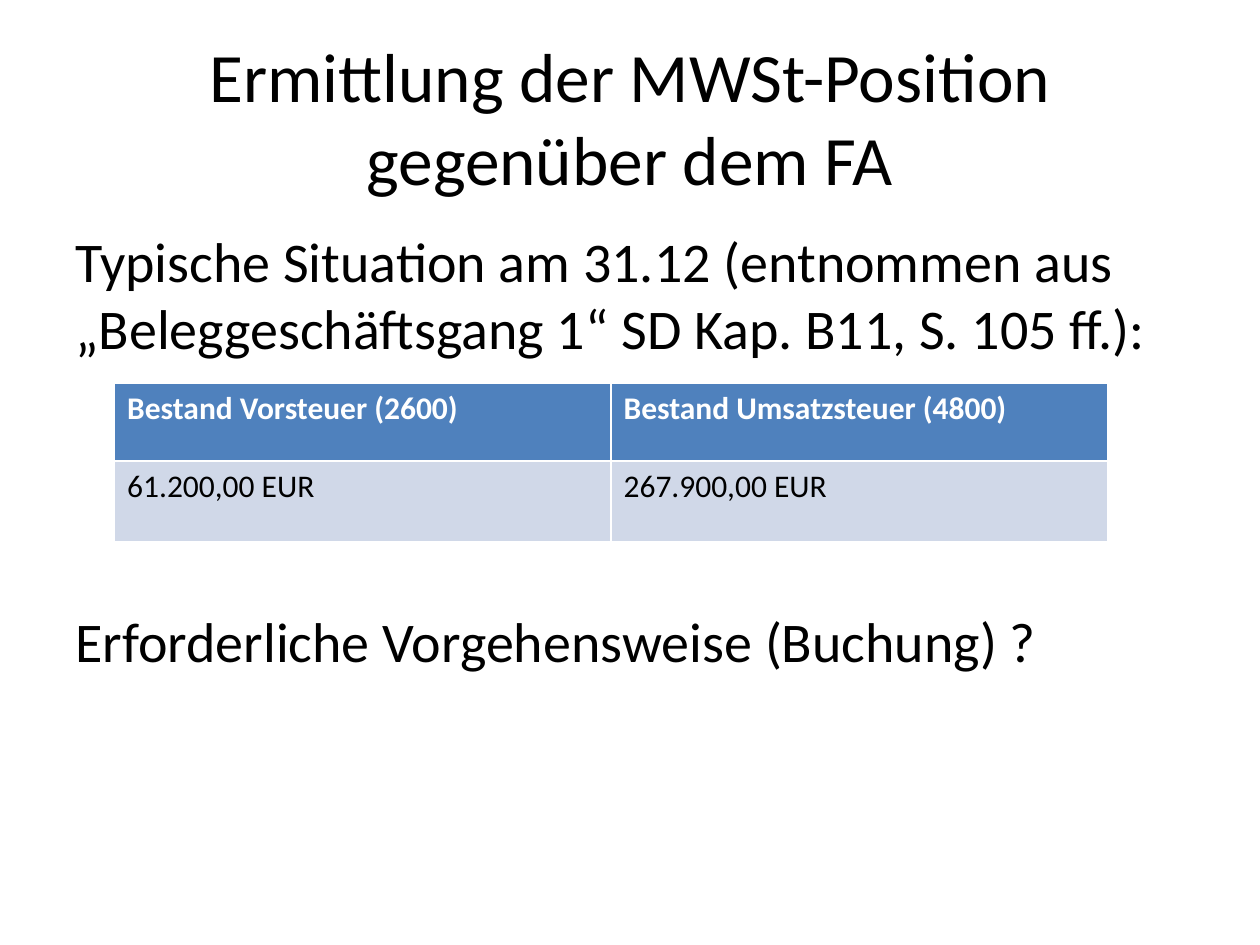
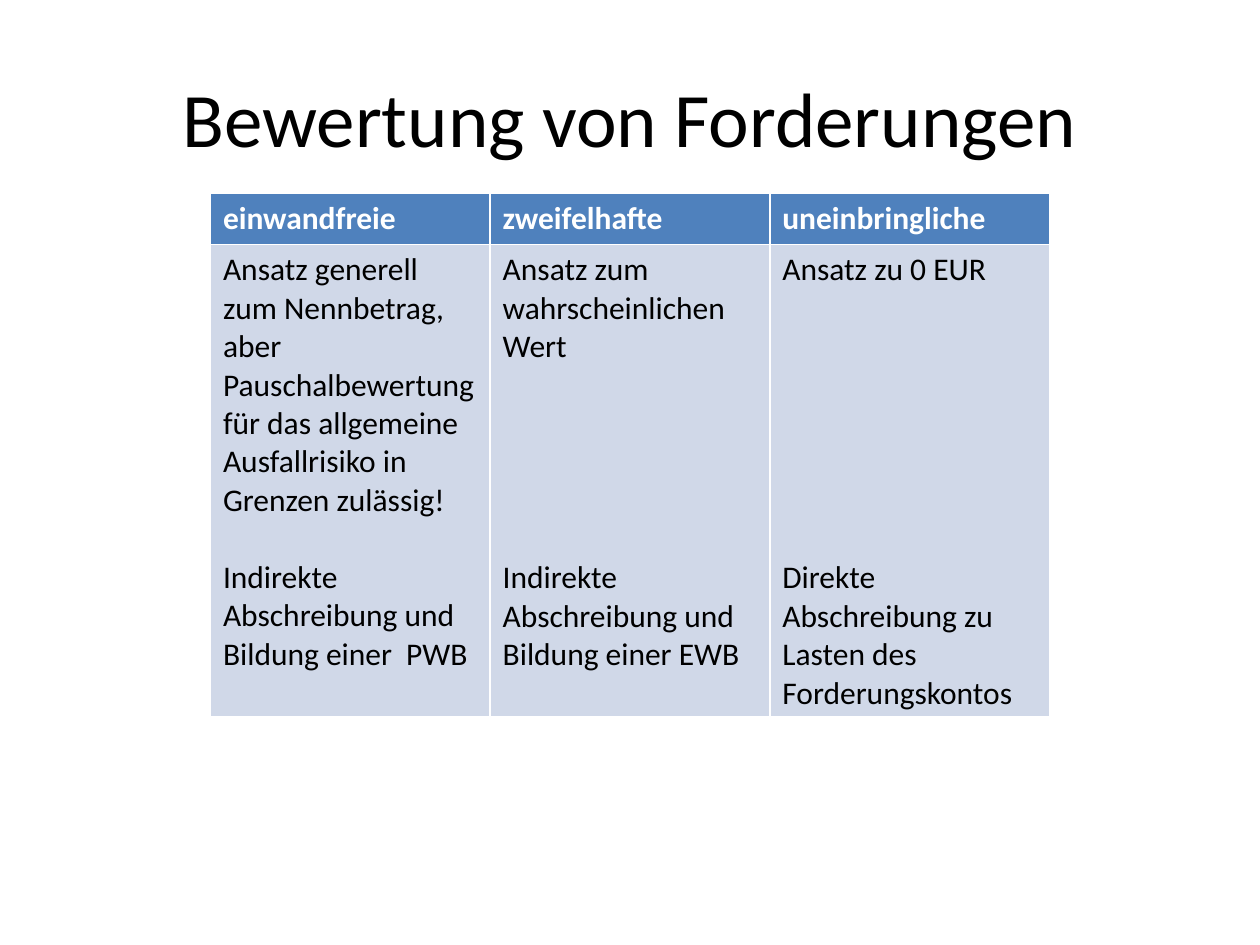
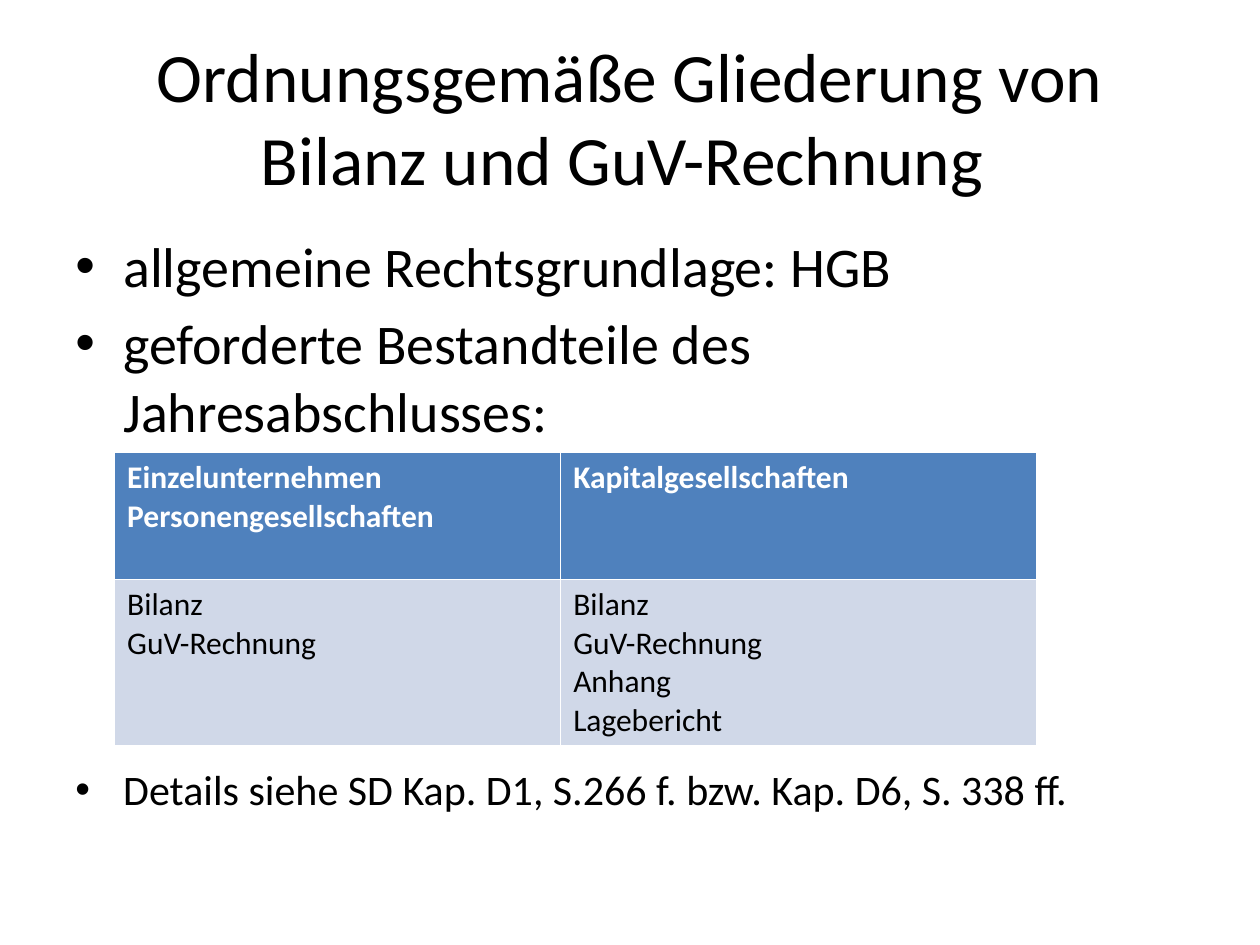
from dataclasses import dataclass
from lxml.etree import SubElement as Sub
from pptx import Presentation
from pptx.dml.color import RGBColor as RGB
from pptx.enum.text import MSO_ANCHOR as Anchor, PP_ALIGN as Align
from pptx.oxml.ns import qn
from pptx.util import Inches, Pt


@dataclass(frozen=True)
class Theme:
    font: str = "Calibri"
    ink: RGB = RGB(0x00, 0x00, 0x00)
    white: RGB = RGB(0xFF, 0xFF, 0xFF)
    head: RGB = RGB(0x4F, 0x81, 0xBD)
    band: RGB = RGB(0xD0, 0xD8, 0xE8)
    title: float = 44
    long: float = 39.6
    body: float = 32
    note: float = 24
    cell: float = 18
    line: float = 22
    gap: float = 5.6


look = Theme()


def write(frame, text, size=look.body, color=look.ink, bold=False,
          align=Align.LEFT, before=0, bullet=False):
    first = frame.paragraphs[0]
    para = frame.add_paragraph() if first.runs else first
    para.alignment = align
    para.space_before = Pt(before)
    if bullet:
        props = para._p.get_or_add_pPr()
        props.set("marL", str(Inches(0.38)))
        props.set("indent", str(Inches(-0.38)))
        Sub(props, qn("a:buFont"), typeface="Arial")
        Sub(props, qn("a:buChar"), char="•")
    run = para.add_run()
    run.text = text
    run.font.name = look.font
    run.font.size = Pt(size)
    run.font.bold = bold
    run.font.color.rgb = color


def frame_at(slide, top, height, anchor=Anchor.TOP):
    box = slide.shapes.add_textbox(Inches(0.5), Inches(top), Inches(9), Inches(height))
    frame = box.text_frame
    frame.word_wrap = True
    frame.vertical_anchor = anchor
    return frame


pages = [
    dict(
        title="Ermittlung der MWSt-Position gegenüber dem FA",
        size=look.long,
        top=1.75,
        body=[
            ("Typische Situation am 31.12 (entnommen aus „Beleggeschäftsgang 1“ SD Kap. B11, S. 105 ff.):", {}),
            ("Erforderliche Vorgehensweise (Buchung) ?", dict(before=140)),
        ],
        spot=(0.91, 3.04),
        cols=[3.94, 3.94],
        rows=[0.62, 0.64],
        cells=[
            [[("Bestand Vorsteuer (2600)", 0)], [("Bestand Umsatzsteuer (4800)", 0)]],
            [[("61.200,00 EUR", 0)], [("267.900,00 EUR", 0)]],
        ],
    ),
    dict(
        title="Bewertung von Forderungen",
        size=look.title,
        body=[],
        spot=(1.67, 1.53),
        cols=[2.22, 2.22, 2.22],
        rows=[0.41, 3.75],
        cells=[
            [[("einwandfreie", 0)], [("zweifelhafte", 0)], [("uneinbringliche", 0)]],
            [
                [
                    ("Ansatz generell zum Nennbetrag, aber", 0),
                    ("Pauschalbewertung für das allgemeine Ausfallrisiko in Grenzen zulässig!", 0),
                    ("Indirekte Abschreibung und Bildung einer  PWB", 1),
                ],
                [
                    ("Ansatz zum wahrscheinlichen Wert", 0),
                    ("Indirekte Abschreibung und Bildung einer EWB", 5),
                ],
                [
                    ("Ansatz zu 0 EUR", 0),
                    ("Direkte Abschreibung zu Lasten des Forderungskontos", 7),
                ],
            ],
        ],
    ),
    dict(
        title="Ordnungsgemäße Gliederung von Bilanz und GuV-Rechnung ",
        size=look.long,
        top=1.79,
        body=[
            ("allgemeine Rechtsgrundlage: HGB", dict(bullet=True)),
            ("geforderte Bestandteile des Jahresabschlusses:", dict(bullet=True, before=look.gap)),
            ("Details siehe SD Kap. D1, S.266 f. bzw. Kap. D6, S. 338 ff.",
             dict(bullet=True, before=183, size=look.note)),
        ],
        spot=(0.91, 3.59),
        cols=[3.54, 3.78],
        rows=[1.01, 1.32],
        cells=[
            [
                [("Einzelunternehmen", 0), ("Personengesellschaften", 0)],
                [("Kapitalgesellschaften", 0)],
            ],
            [
                [("Bilanz", 0), ("GuV-Rechnung", 0)],
                [("Bilanz", 0), ("GuV-Rechnung", 0), ("Anhang", 0), ("Lagebericht", 0)],
            ],
        ],
    ),
]

deck = Presentation()
deck.slide_width = Inches(10)
deck.slide_height = Inches(7.5)

for page in pages:
    slide = deck.slides.add_slide(deck.slide_layouts[6])
    head = frame_at(slide, 0.3, 1.25, Anchor.MIDDLE)
    write(head, page["title"], size=page["size"], align=Align.CENTER)

    if page["body"]:
        frame = frame_at(slide, page["top"], 4.95)
        for text, form in page["body"]:
            write(frame, text, **form)

    cols, rows = page["cols"], page["rows"]
    left, top = page["spot"]
    grid = slide.shapes.add_table(
        len(rows), len(cols), Inches(left), Inches(top),
        Inches(sum(cols)), Inches(sum(rows))).table
    for col, width in zip(grid.columns, cols):
        col.width = Inches(width)
    for row, height in zip(grid.rows, rows):
        row.height = Inches(height)
    for r, line in enumerate(page["cells"]):
        for c, paras in enumerate(line):
            cell = grid.cell(r, c)
            cell.fill.solid()
            cell.fill.fore_color.rgb = look.band if r else look.head
            for text, skip in paras:
                write(cell.text_frame, text, size=look.cell, bold=r == 0,
                      color=look.ink if r else look.white, before=skip * look.line)

deck.save("out.pptx")
